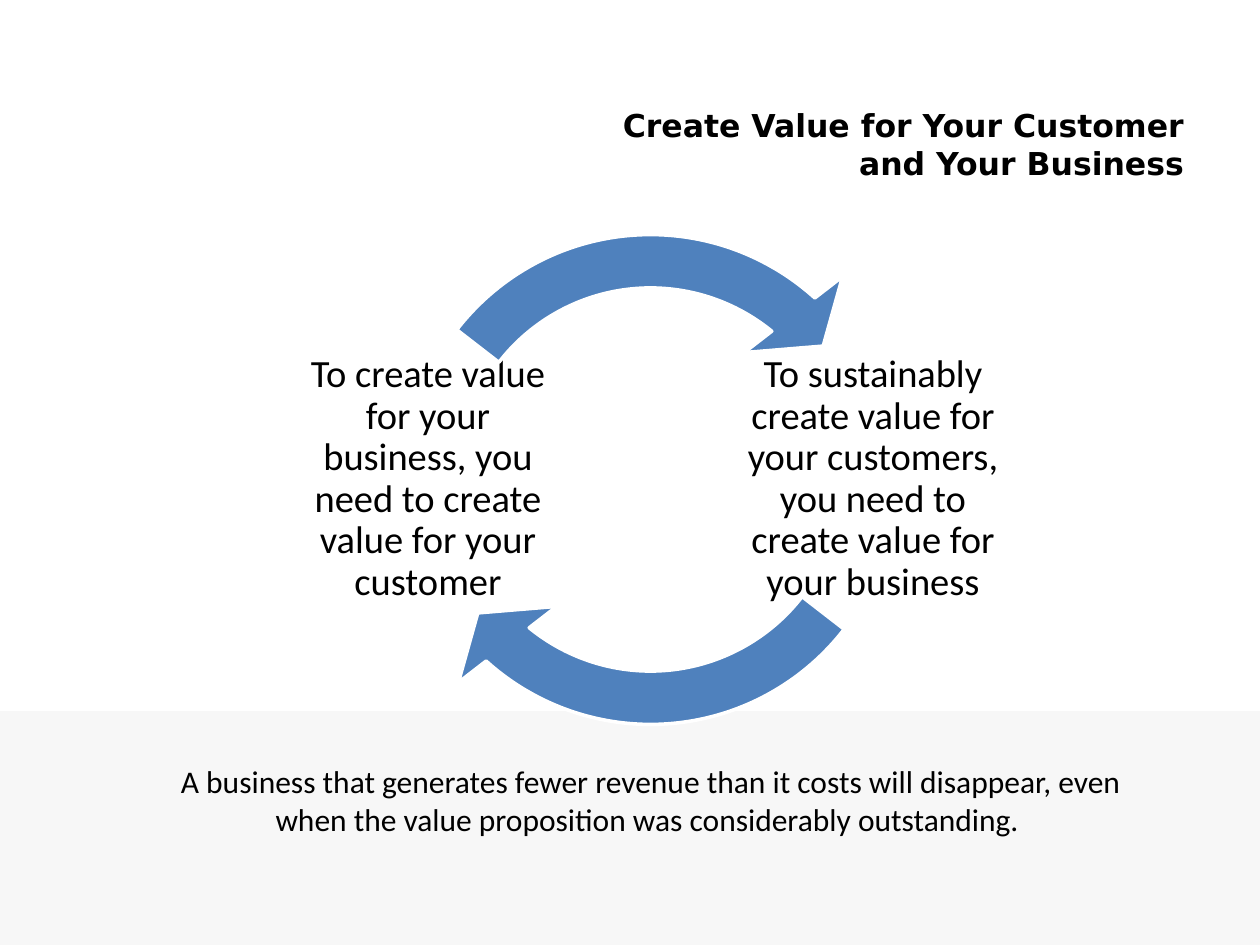
from dataclasses import dataclass

from pptx import Presentation
from pptx.dml.color import RGBColor
from pptx.enum.shapes import MSO_SHAPE
from pptx.enum.text import MSO_ANCHOR, MSO_AUTO_SIZE, PP_ALIGN
from pptx.util import Pt

RECT, ARC = MSO_SHAPE.RECTANGLE, MSO_SHAPE.CIRCULAR_ARROW
TOP, MIDDLE = MSO_ANCHOR.TOP, MSO_ANCHOR.MIDDLE
CENTER, RIGHT = PP_ALIGN.CENTER, PP_ALIGN.RIGHT
GROW, FIXED = MSO_AUTO_SIZE.SHAPE_TO_FIT_TEXT, MSO_AUTO_SIZE.NONE
SCALE = 914400 / 126  # EMU in one px


@dataclass(frozen=True)
class Theme:
    ink: str = "000000"
    band: str = "F7F7F7"
    arrow: str = "4F81BD"
    edge: str = "FFFFFF"
    body: str = "Calibri"
    head: str = "DejaVu Sans"
    small: int = 18
    large: int = 22


THEME = Theme()


def emu(*px):
    return [round(n * SCALE) for n in px]


def write(frame, text, font=THEME.body, size=THEME.small, bold=False,
          align=CENTER, anchor=TOP, pad=(13, 6), space=1.0, fit=GROW):
    frame.word_wrap = True
    frame.auto_size = fit
    frame.vertical_anchor = anchor
    frame.margin_left = frame.margin_right = emu(pad[0])[0]
    frame.margin_top = frame.margin_bottom = emu(pad[1])[0]
    para = frame.paragraphs[0]
    para.alignment, para.line_spacing = align, space
    run = para.add_run()
    run.text = text
    run.font.name, run.font.size, run.font.bold = font, Pt(size), bold
    run.font.color.rgb = RGBColor.from_string(THEME.ink)


class Board:
    def __init__(self, deck, theme):
        self.theme = theme
        self.slide = deck.slides.add_slide(deck.slide_layouts[5])

    def title(self, box, text):
        shape = self.slide.shapes.title
        shape.left, shape.top, shape.width, shape.height = emu(*box)
        write(shape.text_frame, text, font=self.theme.head, bold=True,
              align=RIGHT)

    def text(self, box, text, **style):
        shape = self.slide.shapes.add_textbox(*emu(*box))
        write(shape.text_frame, text, **style)

    def shape(self, kind, box, fill):
        shape = self.slide.shapes.add_shape(kind, *emu(*box))
        shape.shadow.inherit = False
        shape.fill.solid()
        shape.fill.fore_color.rgb = RGBColor.from_string(fill)
        shape.line.fill.background()
        return shape

    def arrow(self, box, turn):
        shape = self.shape(ARC, box, self.theme.arrow)
        shape.line.color.rgb = RGBColor.from_string(self.theme.edge)
        shape.line.width = Pt(2)
        # Band width, head angle, end angle, start angle, head width
        values = (0.095, 6.843, 78.538 + turn, 22.619 + turn, 0.111)
        for i, value in enumerate(values):
            shape.adjustments[i] = value


def main():
    deck = Presentation()
    deck.slide_width, deck.slide_height = emu(1260, 945)
    board = Board(deck, THEME)

    # Footer band and title
    board.shape(RECT, (0, 711, 1260, 234), THEME.band)
    board.title((598, 100, 599, 89),
                "Create Value for Your Customer and Your Business")

    # Cycle: each text with the arrow that leaves it, half a turn apart
    half = 108  # 180 degrees in adjustment units
    steps = (
        (737, "To sustainably create value for your customers, "
              "you need to create value for your business"),
        (292, "To create value for your business, "
              "you need to create value for your customer"),
    )
    for i, (left, text) in enumerate(steps):
        board.text((left, 343, 272, 272), text, size=THEME.large,
                   anchor=MIDDLE, pad=(4, 4), space=0.9, fit=FIXED)
        board.arrow((370, 199, 561, 561), i * half)

    # Closing remark
    board.text((147, 756, 1008, 89),
               "A business that generates fewer revenue than it costs will "
               "disappear, even when the value proposition was considerably "
               "outstanding. ")

    deck.save("out.pptx")


if __name__ == "__main__":
    main()
